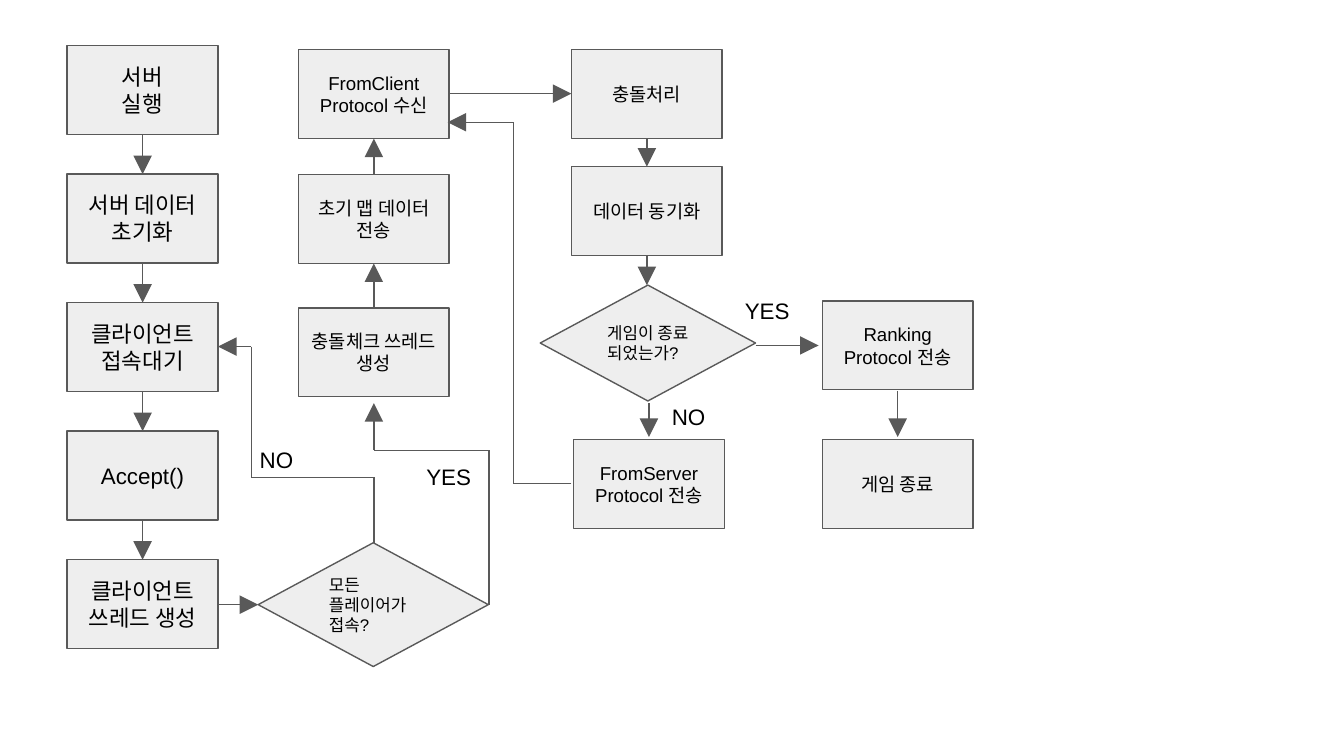
from lxml import etree
from pptx import Presentation
from pptx.dml.color import RGBColor
from pptx.enum import shapes, text
from pptx.oxml.ns import qn
from pptx.util import Cm, Pt

COLORS = {"fill": "EEEEEE", "line": "595959", "text": "000000"}
BOX_W, BOX_H = 2.85, 1.68
SERVER, CLIENT, GAME, RANK = 1.27, 5.64, 10.8, 15.54
SERVER_TOP, SERVER_STEP = 0.86, 2.43
RECT, DIAMOND = shapes.MSO_SHAPE.RECTANGLE, shapes.MSO_SHAPE.DIAMOND

prs = Presentation()
prs.slide_width, prs.slide_height = Cm(25.4), Cm(14.29)
s = prs.slides.add_slide(prs.slide_layouts[6])


def add_text(label, x, y, w=BOX_W, h=BOX_H, kind=None, size=12,
             align=text.PP_ALIGN.CENTER):
    """Add a label, inside a filled shape when a kind is given."""
    at = Cm(x), Cm(y), Cm(w), Cm(h)
    if kind is None:
        sp = s.shapes.add_textbox(*at)
    else:
        sp = s.shapes.add_shape(kind, *at)
        sp.shadow.inherit = False
        sp.fill.solid()
        sp.fill.fore_color.rgb = RGBColor.from_string(COLORS["fill"])
        sp.line.color.rgb = RGBColor.from_string(COLORS["line"])
        sp.line.width = Pt(0.75)
    tf = sp.text_frame
    tf.word_wrap = True
    tf.vertical_anchor = text.MSO_ANCHOR.MIDDLE if kind else text.MSO_ANCHOR.TOP
    tf.margin_left = tf.margin_right = tf.margin_top = tf.margin_bottom = Cm(0.25)
    tf.text = label
    for p in tf.paragraphs:
        p.alignment = align
        for r in p.runs:
            r.font.size, r.font.name = Pt(size), "Arial"
            r.font.color.rgb = RGBColor.from_string(COLORS["text"])


def add_route(*points):
    """Join points with straight lines and put an arrowhead at the last."""
    for start, end in zip(points, points[1:]):
        c = s.shapes.add_connector(shapes.MSO_CONNECTOR.STRAIGHT,
                                   *map(Cm, start + end))
        c.line.color.rgb = RGBColor.from_string(COLORS["line"])
        c.line.width = Pt(0.75)
        etree.SubElement(c._element.spPr, qn("a:effectLst"))
    etree.SubElement(c.line._get_or_add_ln(), qn("a:tailEnd"),
                     type="triangle", w="lg", len="lg")


# Server start-up column
server_mid = SERVER + BOX_W / 2
steps = ["서버\n실행", "서버 데이터 초기화", "클라이언트\n접속대기", "Accept()",
         "클라이언트 쓰레드 생성"]
for i, label in enumerate(steps):
    top = SERVER_TOP + i * SERVER_STEP
    add_text(label, SERVER, top, kind=RECT)
    if i:
        add_route((server_mid, top - SERVER_STEP + BOX_H), (server_mid, top))

# Other steps
for label, x, y in [
    ("FromClient\nProtocol 수신", CLIENT, 0.94),
    ("초기 맵 데이터 전송", CLIENT, 3.3),
    ("충돌체크 쓰레드 생성", CLIENT, 5.82),
    ("충돌처리", GAME, 0.94),
    ("데이터 동기화", GAME, 3.15),
    ("FromServer\nProtocol 전송", GAME + 0.04, 8.31),
    ("Ranking\nProtocol 전송", RANK, 5.69),
    ("게임 종료", RANK, 8.31),
]:
    add_text(label, x, y, kind=RECT, size=10)

# Decisions
for label, *at in [
    ("모든 플레이어가\n접속?", 4.88, 10.26, 4.35, 2.34),
    ("게임이 종료\n되었는가?", 10.21, 5.39, 4.07, 2.19),
]:
    add_text(label, *at, kind=DIAMOND, size=9, align=text.PP_ALIGN.LEFT)

# Arrows
client_mid, game_mid, rank_mid = (x + BOX_W / 2 for x in (CLIENT, GAME, RANK))
for route in [
    [(SERVER + BOX_W, 11.43), (4.88, 11.43)],
    [(client_mid, 10.26), (client_mid, 9.02), (4.75, 9.02), (4.75, 6.55),
     (SERVER + BOX_W, 6.55)],
    [(9.24, 11.43), (9.24, 8.51), (client_mid, 8.51), (client_mid, 7.62)],
    [(client_mid, 5.82), (client_mid, 4.98)],
    [(client_mid, 3.3), (client_mid, 2.62)],
    [(CLIENT + BOX_W, 1.77), (GAME, 1.77)],
    [(game_mid, 2.62), (game_mid, 3.15)],
    [(game_mid, 4.83), (game_mid, 5.39)],
    [(game_mid + 0.04, 7.62), (game_mid + 0.04, 8.26)],
    [(14.28, 6.53), (15.47, 6.53)],
    [(rank_mid, 7.39), (rank_mid, 8.26)],
    [(GAME, 9.14), (9.7, 9.14), (9.7, 2.31), (CLIENT + BOX_W - 0.03, 2.31)],
]:
    add_route(*route)

# Branch labels
for x, y in [(4.55, 8.18), (12.34, 7.37)]:
    add_text("NO", x, y, 1.35, 1.32)
for x, y in [(7.72, 8.51), (13.74, 5.36)]:
    add_text("YES", x, y, 1.52, 1.02)

prs.save("out.pptx")
